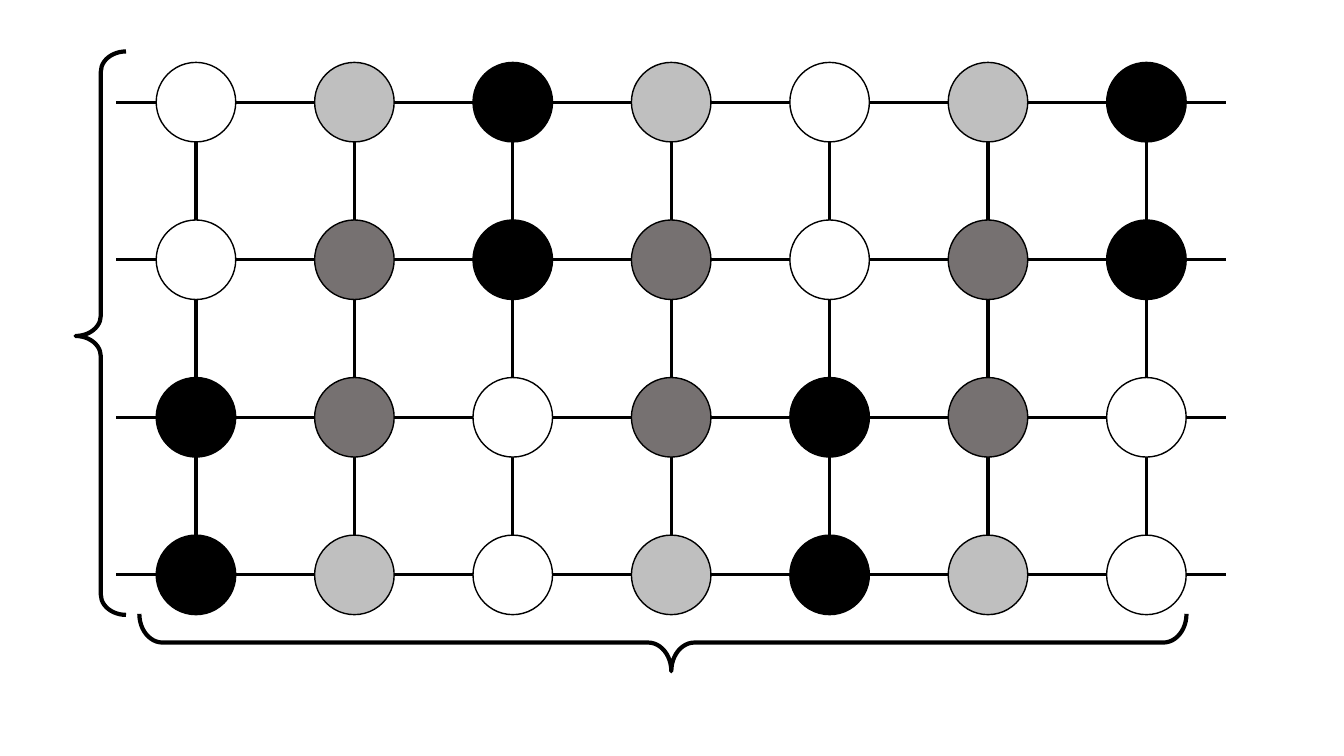
from lxml import etree
from pptx import Presentation
from pptx.dml.color import RGBColor
from pptx.enum.shapes import MSO_CONNECTOR, MSO_SHAPE
from pptx.oxml.ns import qn
from pptx.util import Pt

STRAIGHT = MSO_CONNECTOR.STRAIGHT
OVAL = MSO_SHAPE.OVAL
RIGHT_BRACE = MSO_SHAPE.RIGHT_BRACE

BLACK, WHITE, LIGHT, DARK = "000000", "FFFFFF", "BFBFBF", "767171"


def color(hex_text):
    return RGBColor.from_string(hex_text)


class Canvas:
    """Holds the line style and the current page."""

    ink = BLACK
    edge_width = 2.25
    node_width = 1
    brace_width = 3

    def __init__(self, page):
        self.page = page

    def outline(self, item, width):
        item.line.color.rgb = color(self.ink)
        item.line.width = Pt(width)

    def edge(self, x1, y1, x2, y2):
        line = self.page.shapes.add_connector(
            STRAIGHT, Pt(x1), Pt(y1), Pt(x2), Pt(y2))
        self.outline(line, self.edge_width)
        etree.SubElement(line._element.spPr, qn("a:effectLst"))

    def shape(self, kind, left, top, width, height, line_width):
        shape = self.page.shapes.add_shape(
            kind, Pt(left), Pt(top), Pt(width), Pt(height))
        shape.shadow.inherit = False
        self.outline(shape, line_width)
        return shape

    def node(self, x, y, radius, fill):
        circle = self.shape(OVAL, x - radius, y - radius,
                            2 * radius, 2 * radius, self.node_width)
        circle.fill.solid()
        circle.fill.fore_color.rgb = color(fill)

    def brace(self, left, top, width, height, rotation, tip):
        brace = self.shape(RIGHT_BRACE, left, top, width, height,
                           self.brace_width)
        brace.fill.background()
        brace.rotation = rotation
        brace.adjustments[0] = 0.404
        brace.adjustments[1] = tip


deck = Presentation()
deck.slide_width, deck.slide_height = Pt(960), Pt(540)
canvas = Canvas(deck.slides.add_slide(deck.slide_layouts[6]))

# Lattice geometry: node centres and radius
RADIUS = 28.4
columns = [140 + 113.15 * step for step in range(7)]
rows = [73 + 112.55 * step for step in range(4)]
first_x, last_x = columns[0], columns[-1]

# Edges between nodes, with an open end on both sides of each row
for x in columns:
    canvas.edge(x, rows[0] + RADIUS, x, rows[-1] - RADIUS)
for y in rows:
    canvas.edge(first_x + RADIUS, y, last_x - RADIUS, y)
    canvas.edge(first_x - 2 * RADIUS, y, first_x - RADIUS, y)
    canvas.edge(last_x + RADIUS, y, last_x + 2 * RADIUS, y)

# Nodes: the column fills repeat every four columns
grays = [LIGHT, DARK, DARK, LIGHT]
cycle = [[WHITE, WHITE, BLACK, BLACK], grays,
         [BLACK, BLACK, WHITE, WHITE], grays]
for index, x in enumerate(columns):
    for y, fill in zip(rows, cycle[index % len(cycle)]):
        canvas.node(x, y, RADIUS, fill)

# Braces below and to the left of the lattice
canvas.brace(453, 85, 41, 748, 90, 0.492)
canvas.brace(54, 36.7, 36, 402.5, 180, 0.495)

deck.save("out.pptx")
